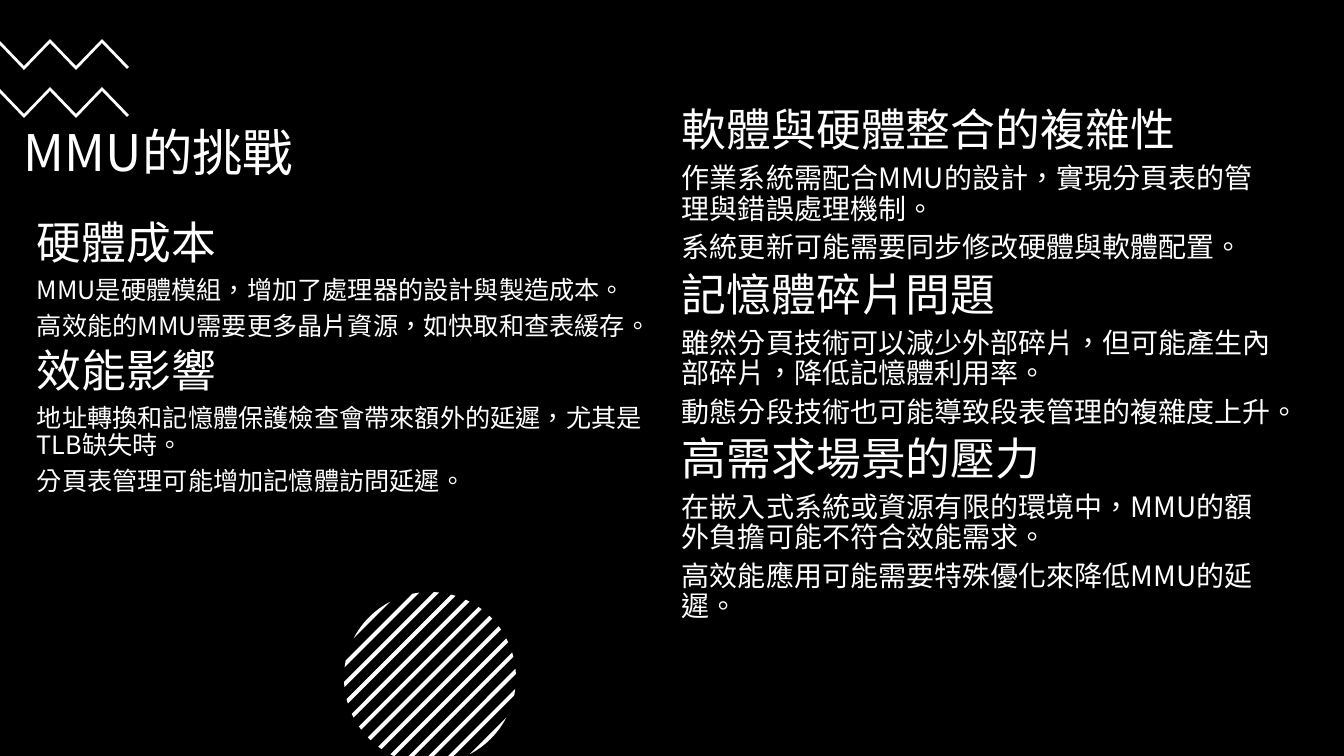
from math import pi, sqrt, sin, cos, acos
from lxml.etree import SubElement
from pptx import Presentation
from pptx.dml.color import RGBColor
from pptx.enum.lang import MSO_LANGUAGE_ID
from pptx.enum.shapes import MSO_SHAPE
from pptx.enum.text import MSO_AUTO_SIZE
from pptx.oxml.ns import qn
from pptx.util import Pt

EMU_PER_PX = 914400 / 100.8
WIDTH, HEIGHT = 1344, 756
FONT = "Noto Sans CJK SC"


def px(length):
    return round(length * EMU_PER_PX)


def paint(shape, color):
    shape.shadow.inherit = False
    shape.fill.solid()
    shape.fill.fore_color.rgb = RGBColor.from_string(color)
    shape.line.fill.background()


deck = Presentation()
deck.slide_width, deck.slide_height = px(WIDTH), px(HEIGHT)
slide = deck.slides.add_slide(deck.slide_layouts[6])

backdrop = slide.shapes.add_shape(MSO_SHAPE.RECTANGLE, 0, 0, px(WIDTH), px(HEIGHT))
paint(backdrop, "000000")

zigzag = [(50, 39), (76, 66), (102, 39), (129, 67), (127, 69), (102, 43),
          (76, 70), (50, 43), (24, 70), (0, 45), (0, 41), (24, 66)]
for drop in (0, 48):
    corners = [(px(x), px(y + drop)) for x, y in zigzag]
    wave = slide.shapes.build_freeform(*corners[0], scale=1.0)
    wave.add_line_segments(corners[1:], close=True)
    paint(wave.convert_to_shape(), "FFFFFF")

center_x, center_y, radius = 430, 678, 86
stripe_gap, half_stripe, arc_steps = 14, 2, 8
striped_circle = slide.shapes.add_group_shape()
for stripe in range(-6, 7):
    start, end = [acos((stripe * stripe_gap + side) / radius)
                  for side in (-half_stripe, half_stripe)]
    angles = [start + (end - start) * step / arc_steps for step in range(arc_steps + 1)]
    outline = []
    for angle in angles + [-angle for angle in reversed(angles)]:
        across, along = radius * cos(angle), radius * sin(angle)
        along = min(along, (HEIGHT - center_y) * sqrt(2) - across)
        outline.append((px(center_x + (across - along) * cos(pi / 4)),
                        px(center_y + (across + along) * sin(pi / 4))))
    band = striped_circle.shapes.build_freeform(*outline[0], scale=1.0)
    band.add_line_segments(outline[1:], close=True)
    paint(band.convert_to_shape(), "FFFFFF")

body_spacing = {"line_spacing": 0.9, "space_after": Pt(6)}
blocks = [
    ((672, 103, 615, 677), MSO_AUTO_SIZE.NONE, body_spacing, [
        (32, "軟體與硬體整合的複雜性"),
        (20, "作業系統需配合MMU的設計，實現分頁表的管理與錯誤處理機制。"),
        (20, "系統更新可能需要同步修改硬體與軟體配置。"),
        (32, "記憶體碎片問題"),
        (20, "雖然分頁技術可以減少外部碎片，但可能產生內部碎片，降低記憶體利用率。"),
        (20, "動態分段技術也可能導致段表管理的複雜度上升。"),
        (32, "高需求場景的壓力"),
        (20, "在嵌入式系統或資源有限的環境中，MMU的額外負擔可能不符合效能需求。"),
        (20, "高效能應用可能需要特殊優化來降低MMU的延遲。"),
    ]),
    ((14, 116, 387, 102), MSO_AUTO_SIZE.SHAPE_TO_FIT_TEXT, {}, [
        (36, "MMU的挑戰"),
    ]),
    ((27, 216, 662, 327), MSO_AUTO_SIZE.SHAPE_TO_FIT_TEXT, body_spacing, [
        (32, "硬體成本"),
        (18, "MMU是硬體模組，增加了處理器的設計與製造成本。"),
        (18, "高效能的MMU需要更多晶片資源，如快取和查表緩存。"),
        (32, "效能影響"),
        (18, "地址轉換和記憶體保護檢查會帶來額外的延遲，尤其是TLB缺失時。"),
        (18, "分頁表管理可能增加記憶體訪問延遲。"),
    ]),
]
for bounds, fit, spacing, entries in blocks:
    frame = slide.shapes.add_textbox(*map(px, bounds)).text_frame
    frame.word_wrap = True
    frame.auto_size = fit
    for index, (size, wording) in enumerate(entries):
        paragraph = frame.add_paragraph() if index else frame.paragraphs[0]
        for name, value in spacing.items():
            setattr(paragraph, name, value)
        run = paragraph.add_run()
        run.text = wording
        run.font.color.rgb = RGBColor.from_string("FFFFFF")
        letter_format = {"size": Pt(size), "name": FONT,
                         "language_id": MSO_LANGUAGE_ID.TRADITIONAL_CHINESE}
        for name, value in letter_format.items():
            setattr(run.font, name, value)
        SubElement(run._r.get_or_add_rPr(), qn("a:ea"), typeface=FONT)

deck.save("out.pptx")
